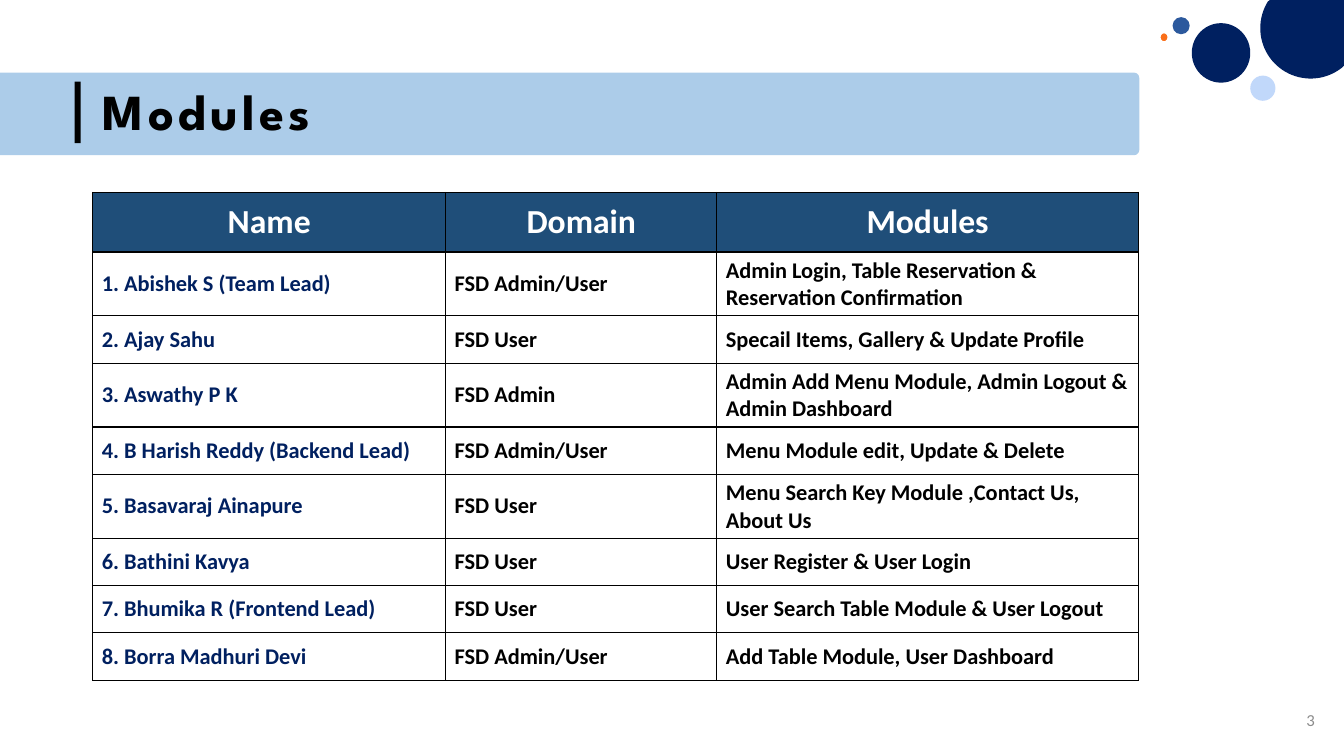
from math import cos, radians, sin

from pptx import Presentation
from pptx.dml.color import RGBColor
from pptx.enum.shapes import MSO_SHAPE
from pptx.enum.text import MSO_ANCHOR, MSO_AUTO_SIZE, PP_ALIGN
from pptx.oxml.ns import qn
from pptx.util import Inches, Pt
from lxml import etree

LEFT, CENTER, RIGHT = PP_ALIGN.LEFT, PP_ALIGN.CENTER, PP_ALIGN.RIGHT
MIDDLE = MSO_ANCHOR.MIDDLE
NO_FIT = MSO_AUTO_SIZE.NONE
OVAL, RECTANGLE, ROUNDED = MSO_SHAPE.OVAL, MSO_SHAPE.RECTANGLE, MSO_SHAPE.ROUNDED_RECTANGLE
WIDTH, HEIGHT = 13.33, 7.5
BLACK, WHITE, NAVY, HEADER_BLUE = "000000", "FFFFFF", "002060", "1F4E79"

HEADERS = ["Name", "Domain", "Modules"]
MEMBERS = [
    ("Abishek S (Team Lead)", "FSD Admin/User", "Admin Login, Table Reservation & Reservation Confirmation"),
    ("Ajay Sahu", "FSD User", "Specail Items, Gallery & Update Profile"),
    ("Aswathy P K", "FSD Admin", "Admin Add Menu Module, Admin Logout & Admin Dashboard"),
    ("B Harish Reddy (Backend Lead)", "FSD Admin/User", "Menu Module edit, Update & Delete"),
    ("Basavaraj Ainapure", "FSD User", "Menu Search Key Module ,Contact Us, About Us"),
    ("Bathini Kavya", "FSD User", "User Register & User Login"),
    ("Bhumika R (Frontend Lead)", "FSD User", "User Search Table Module & User Logout"),
    ("Borra Madhuri Devi", "FSD Admin/User", "Add Table Module, User Dashboard"),
]
COLUMN_WIDTHS = [3.5, 2.69, 4.18]
HEADER_HEIGHT, ROW_HEIGHT = 0.59, 0.47


def rgb(color):
    return RGBColor.from_string(color)


def inches(*lengths):
    return [Inches(length) for length in lengths]


def write(frame, text, color, align=LEFT, **font_values):
    para = frame.paragraphs[0]
    para.alignment = align
    span = para.add_run()
    span.text = text
    span.font.color.rgb = rgb(color)
    for name, value in ({"name": "Calibri"} | font_values).items():
        setattr(span.font, name, value)
    return para, span


def paint(shape, color, alpha=None):
    shape.shadow.inherit = False
    shape.fill.solid()
    shape.fill.fore_color.rgb = rgb(color)
    shape.line.fill.background()
    if alpha:
        fill_color = shape._element.spPr.find(qn("a:solidFill"))[0]
        etree.SubElement(fill_color, qn("a:alpha"), val=str(alpha * 1000))


def add_block(page, kind, place, color, alpha=None):
    shape = page.shapes.add_shape(kind, *inches(*place))
    paint(shape, color, alpha)
    return shape


def add_corner_circle(page, center_x, center_y, radius, color):
    points = []
    for degrees in range(0, 360, 4):
        x = center_x + radius * cos(radians(degrees))
        y = center_y + radius * sin(radians(degrees))
        points.append(tuple(inches(min(x, WIDTH), max(y, 0))))
    builder = page.shapes.build_freeform(*points[0])
    builder.add_line_segments(points[1:], close=True)
    paint(builder.convert_to_shape(), color)


def add_circles(page):
    add_block(page, OVAL, (11.82, 0.23, 0.58, 0.59), NAVY)
    add_corner_circle(page, 13, 0.28, 0.5, NAVY)
    add_block(page, OVAL, (12.4, 0.75, 0.25, 0.25), "85B2F6", 50)
    dot = add_block(page, OVAL, (11.5, 0.32, 0.09, 0.1), "FA6F1A")
    dot.line.color.rgb = rgb(WHITE)
    dot.line.width = Pt(1.5)
    add_block(page, OVAL, (11.63, 0.17, 0.17, 0.17), "2C599D")


def add_title(page, text):
    banner = add_block(page, ROUNDED, (-0.23, 0.72, 11.53, 0.82), "5B9BD5", 50)
    banner.adjustments[0] = 0.063
    add_block(page, RECTANGLE, (0.74, 0.81, 0.06, 0.61), BLACK)
    title = page.shapes.title
    title.left, title.top, title.width, title.height = inches(0.92, 0.72, 10.26, 0.82)
    frame = title.text_frame
    frame.auto_size = NO_FIT
    frame.vertical_anchor = MIDDLE
    para, span = write(frame, text, BLACK, name="League Spartan", size=Pt(36), bold=True)
    para.line_spacing = 0.9
    span._r.get_or_add_rPr().set("spc", "300")
    page.shapes._spTree.append(title._element)


def add_page_number(page, number):
    box = page.shapes.add_textbox(*inches(10.14, 6.94, 3, 0.4))
    box.text_frame.word_wrap = True
    box.text_frame.vertical_anchor = MIDDLE
    write(box.text_frame, number, "8C8C8C", RIGHT, size=Pt(12))


def add_borders(cell):
    properties = cell._tc.get_or_add_tcPr()
    for side in ("lnL", "lnR", "lnT", "lnB"):
        line = etree.SubElement(properties, qn(f"a:{side}"), w=str(Pt(1)))
        fill = etree.SubElement(line, qn("a:solidFill"))
        etree.SubElement(fill, qn("a:srgbClr"), val=BLACK)


def fill_cell(cell, text, color, size, align=LEFT, background=None):
    cell.vertical_anchor = MIDDLE
    cell.margin_left = cell.margin_right = Inches(0.09)
    add_borders(cell)
    if background:
        cell.fill.solid()
        cell.fill.fore_color.rgb = rgb(background)
    else:
        cell.fill.background()
    write(cell.text_frame, text, color, align, size=Pt(size), bold=True)


def add_module_table(page):
    heights = [HEADER_HEIGHT] + [ROW_HEIGHT] * len(MEMBERS)
    place = inches(0.92, 1.91, sum(COLUMN_WIDTHS), sum(heights))
    table = page.shapes.add_table(len(heights), len(HEADERS), *place).table
    for column, width in zip(table.columns, COLUMN_WIDTHS):
        column.width = Inches(width)
    for row, height in zip(table.rows, heights):
        row.height = Inches(height)
    for index, text in enumerate(HEADERS):
        fill_cell(table.cell(0, index), text, WHITE, 24, CENTER, HEADER_BLUE)
    for number, (name, domain, modules) in enumerate(MEMBERS, 1):
        fill_cell(table.cell(number, 0), f"{number}. {name}", NAVY, 16)
        fill_cell(table.cell(number, 1), domain, BLACK, 16)
        fill_cell(table.cell(number, 2), modules, BLACK, 16)


def main():
    deck = Presentation()
    deck.slide_width, deck.slide_height = inches(WIDTH, HEIGHT)
    page = deck.slides.add_slide(deck.slide_layouts[5])
    add_title(page, "Modules")
    add_circles(page)
    add_page_number(page, "3")
    add_module_table(page)
    deck.save("out.pptx")


if __name__ == "__main__":
    main()
